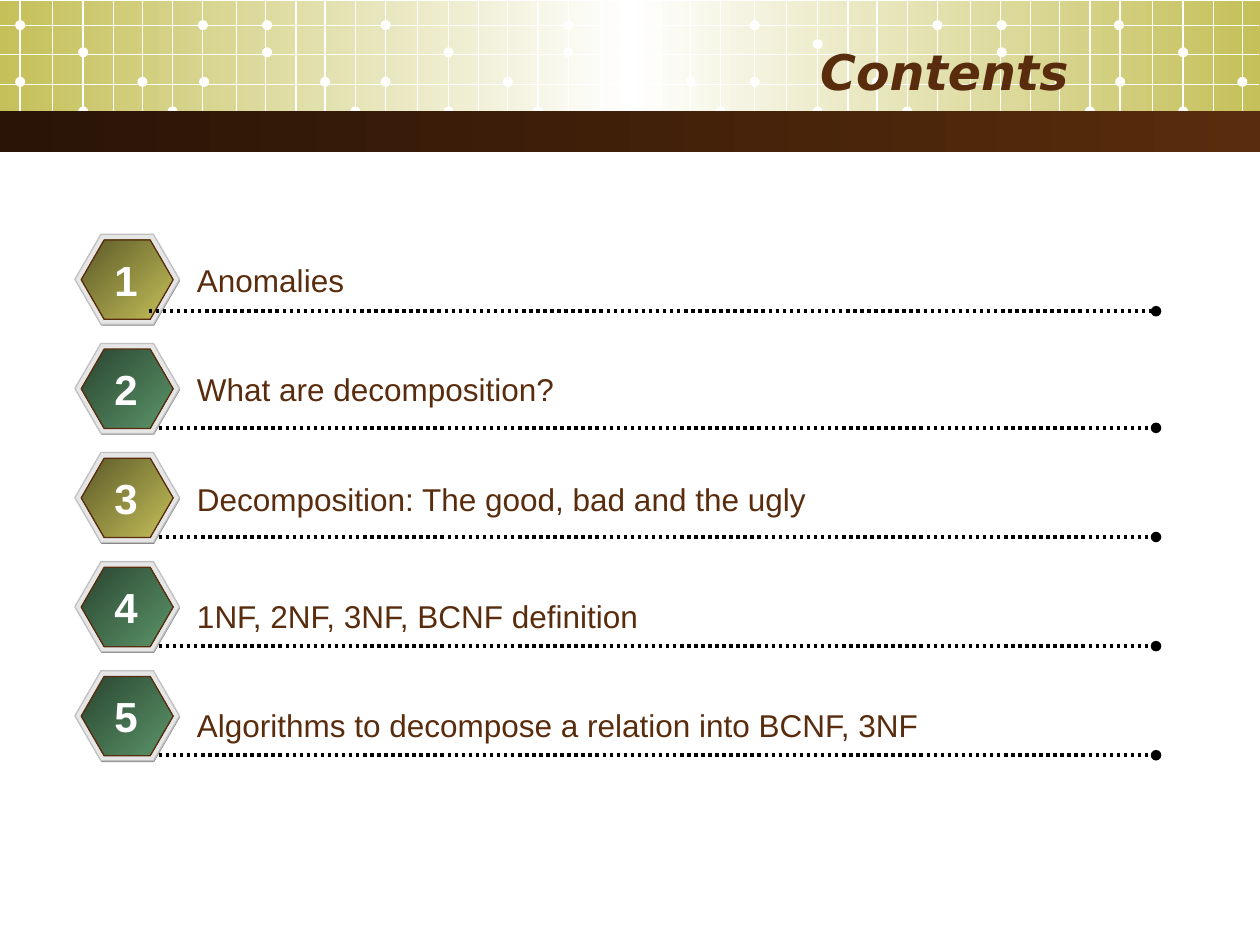
import itertools

import pptx
import pptx.dml.color
import pptx.enum.dml
import pptx.enum.shapes
import pptx.enum.text
import pptx.oxml.ns
import pptx.util
from lxml import etree

SHAPE = pptx.enum.shapes.MSO_SHAPE
ALIGN = pptx.enum.text.PP_ALIGN
COLORS = {
    "brown": "592C0D", "dark brown": "291406", "white": "FFFFFF",
    "black": "000000", "olive": "C5C059", "dark olive": "5B5929",
    "green": "5B9569", "dark green": "2A4531", "rim": "E6E6E6",
    "rim edge": "C0C0C0", "shade": "808080",
}


def rgb(color):
    return pptx.dml.color.RGBColor.from_string(COLORS[color])


class Deck:
    """Style and current slide; lengths are cells of a 100 x 75 grid."""

    font = "Arial"
    title_font = "DejaVu Sans"
    cell = pptx.util.Inches(0.1)

    def __init__(self):
        self.presentation = pptx.Presentation()
        self.presentation.slide_width = 100 * self.cell
        self.presentation.slide_height = 75 * self.cell
        self.slide = self.presentation.slides.add_slide(
            self.presentation.slide_layouts[5])

    def cells(self, *lengths):
        return [round(length * self.cell) for length in lengths]

    def group(self):
        return self.slide.shapes.add_group_shape().shapes

    def shape(self, parent, preset, place, fill, edge=None, angle=0):
        """Fill is one colour, or a list of evenly spaced gradient colours."""
        shape = parent.add_shape(preset, *self.cells(*place))
        shape.shadow.inherit = False
        if isinstance(fill, str):
            shape.fill.solid()
            shape.fill.fore_color.rgb = rgb(fill)
        else:
            self.gradient(shape, fill, angle)
        if edge:
            shape.line.color.rgb = rgb(edge)
            shape.line.width = pptx.util.Pt(0.75)
        else:
            shape.line.fill.background()
        return shape

    def gradient(self, shape, colors, angle):
        qn = pptx.oxml.ns.qn
        shape.fill.gradient()
        shape.fill.gradient_angle = -angle % 360
        stops = next(shape._element.spPr.iter(qn("a:gsLst")))
        for stop in list(stops):
            stops.remove(stop)
        for index, color in enumerate(colors):
            position = 100000 * index // (len(colors) - 1)
            stop = etree.SubElement(stops, qn("a:gs"), pos=str(position))
            etree.SubElement(stop, qn("a:srgbClr"), val=COLORS[color])

    def hexagon(self, parent, place, fill, edge=None):
        hexagon = self.shape(parent, SHAPE.HEXAGON, place, fill, edge, 45)
        hexagon.adjustments[0] = 0.289

    def line(self, parent, ends, color, width, dotted=False):
        qn = pptx.oxml.ns.qn
        line = parent.add_connector(
            pptx.enum.shapes.MSO_CONNECTOR.STRAIGHT, *self.cells(*ends))
        line.line.color.rgb = rgb(color)
        line.line.width = pptx.util.Pt(width)
        if dotted:
            line.line.dash_style = pptx.enum.dml.MSO_LINE.ROUND_DOT
            outline = line._element.spPr.find(qn("a:ln"))
            etree.SubElement(outline, qn("a:tailEnd"), type="oval")
        etree.SubElement(line._element.spPr, qn("a:effectLst"))

    def add_words(self, frame, words, size, color, align, font, bold=False,
                  italic=False):
        paragraph = frame.paragraphs[0]
        paragraph.alignment = align
        run = paragraph.add_run()
        run.text = words
        run.font.name = font
        run.font.size = pptx.util.Pt(size)
        run.font.color.rgb = rgb(color)
        run.font.bold = bold
        run.font.italic = italic

    def text(self, place, words, size, color, align=ALIGN.LEFT, wrap=True,
             bold=False):
        frame = self.slide.shapes.add_textbox(*self.cells(*place)).text_frame
        frame.word_wrap = wrap
        frame.auto_size = pptx.enum.text.MSO_AUTO_SIZE.SHAPE_TO_FIT_TEXT
        self.add_words(frame, words, size, color, align, self.font, bold)

    def title(self, place, words):
        title = self.slide.shapes.title
        title.left, title.top, title.width, title.height = self.cells(*place)
        frame = title.text_frame
        frame.word_wrap = True
        frame.auto_size = pptx.enum.text.MSO_AUTO_SIZE.NONE
        frame.vertical_anchor = pptx.enum.text.MSO_ANCHOR.MIDDLE
        self.add_words(frame, words, 28, "brown", ALIGN.RIGHT,
                       self.title_font, bold=True, italic=True)
        # Bring the title in front of the header band
        self.slide.shapes._spTree.append(title._element)


# Header grid: four repeats of twelve uneven columns
GRID_STARTS = [1.6, 30.6, 59.9, 88.9]
GRID_STEPS = [0, 2.55, 5, 7.4, 9.7, 12.1, 14.5, 17.15, 19.5, 21.9, 24.2, 26.6]
GRID_ROWS = [2, 4.3, 6.7, 8.9]
# Left edges of the dots, by their top
DOTS = {
    1.6: [1.2, 15.7, 20.8, 30.2, 44.7, 49.7, 59.5, 74, 79.1, 88.4],
    3.1: [64.5],
    3.75: [6.2, 20.8, 35.2, 44.7, 49.7, 79.1, 93.5],
    4.7: [74.1],
    6.1: [1.2, 10.9, 15.8, 25.4, 30.2, 39.9, 54.4, 59.5, 69.2, 83.7, 88.5,
          98.2],
    8.45: [6.2, 13.3, 27.8, 35.2, 42.3, 56.8, 64.5, 71.6, 86.1, 93.5],
}

# Each topic: badge colour, text offset, rule start and rule offset
TOPICS = [
    ("Anomalies", "olive", 1.6, 11.8, 6.1),
    ("What are decomposition?", "green", 1.6, 12.6, 6.7),
    ("Decomposition: The good, bad and the ugly", "olive", 1.7, 12.6, 6.7),
    ("1NF, 2NF, 3NF, BCNF definition", "green", 2.3, 12.6, 6.7),
    ("Algorithms to decompose a relation into BCNF, 3NF", "green", 2.3, 12.6,
     6.7),
]
FIRST_TOP, TOPIC_STEP = 18.6, 8.66


def draw_header(deck):
    shapes = deck.slide.shapes
    deck.shape(shapes, SHAPE.RECTANGLE, (0, 0.1, 100, 10.2),
               ["olive", "white", "olive"])
    grid = deck.group()
    for top, lefts in DOTS.items():
        for left in lefts:
            deck.shape(grid, SHAPE.OVAL, (left, top, 0.8, 0.8), "white")
    for start, step in itertools.product(GRID_STARTS, GRID_STEPS):
        x = start + step
        if x < 100:
            deck.line(grid, (x, 0, x, 11), "white", 0.75)
    for y in GRID_ROWS:
        deck.line(grid, (0, y, 99.9, y), "white", 0.75)
    deck.shape(shapes, SHAPE.RECTANGLE, (0, 8.8, 100, 3.3),
               ["dark brown", "brown"])
    deck.title((5, 2.5, 80.8, 6.2), "Contents")


def draw_topics(deck):
    for index, topic in enumerate(TOPICS):
        words, color, text_drop, rule_start, rule_drop = topic
        top = FIRST_TOP + index * TOPIC_STEP
        # Numbered badge
        badge = deck.group()
        deck.hexagon(badge, (6, top + 0.1, 8.3, 7.15), "shade")
        deck.hexagon(badge, (5.95, top, 8.3, 7.15), "rim", "rim edge")
        deck.hexagon(badge, (6.45, top + 0.45, 7.3, 6.3),
                     ["dark " + color, color], "brown")
        # Dotted rule, topic and number
        rule = top + rule_drop
        deck.line(deck.slide.shapes, (rule_start, rule, 91.75, rule),
                  "black", 2, dotted=True)
        deck.text((14.65, top + text_drop, 81.8, 4), words, 18, "brown")
        deck.text((8.1, top + 1.1, 3.8, 5), str(index + 1), 24, "white",
                  ALIGN.CENTER, wrap=False, bold=True)


def main():
    deck = Deck()
    draw_header(deck)
    draw_topics(deck)
    deck.presentation.save("out.pptx")


if __name__ == "__main__":
    main()
